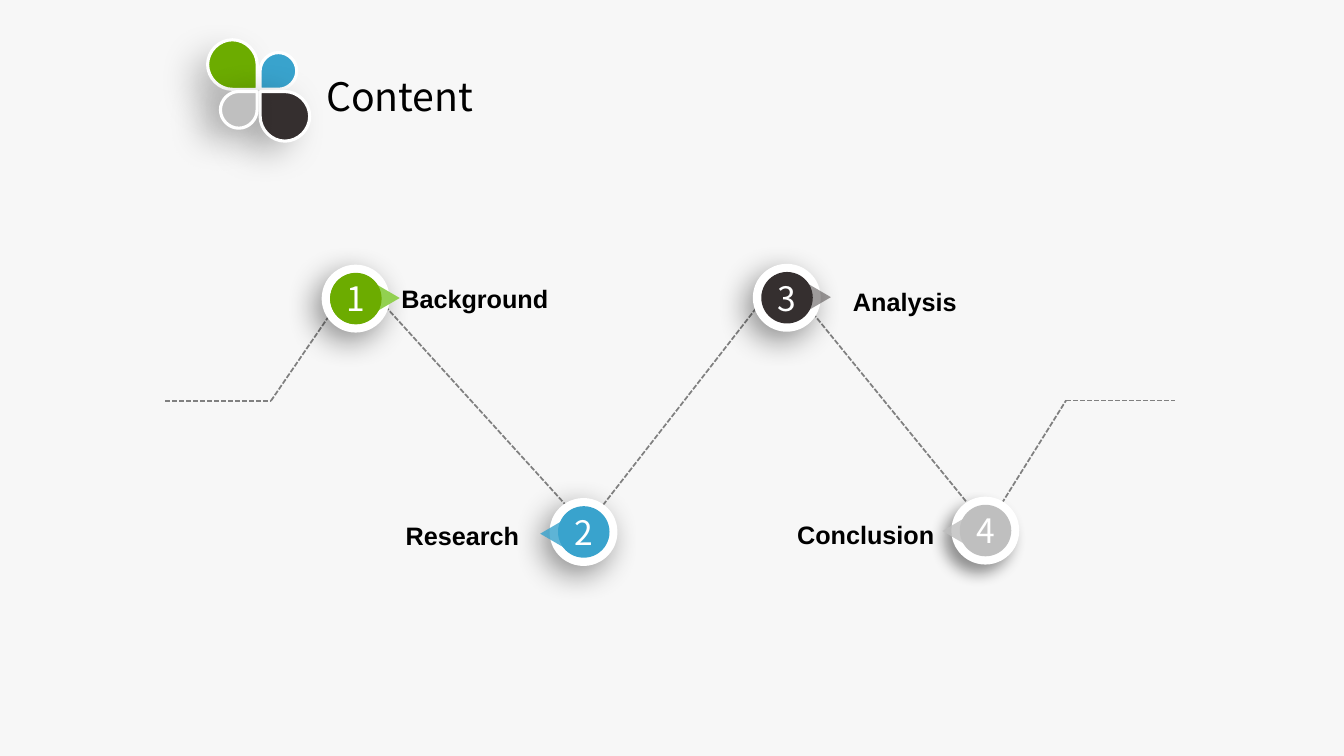
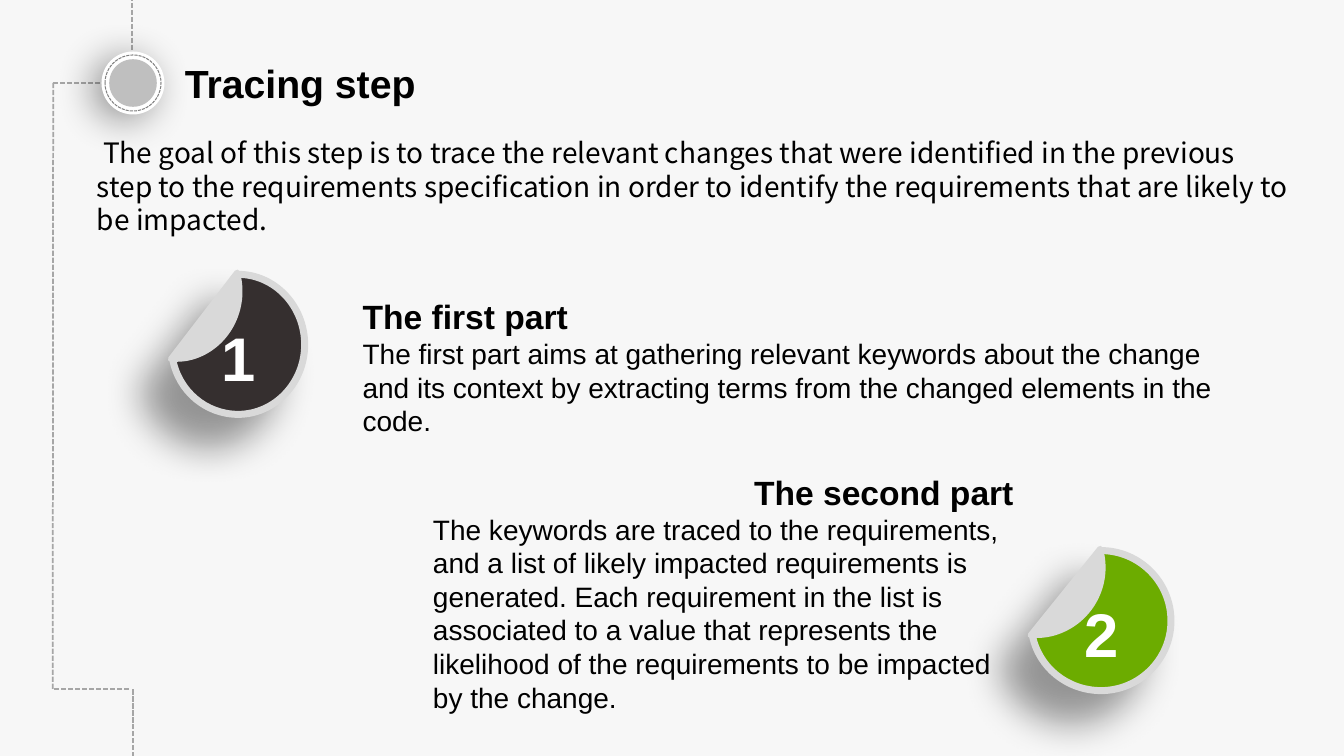
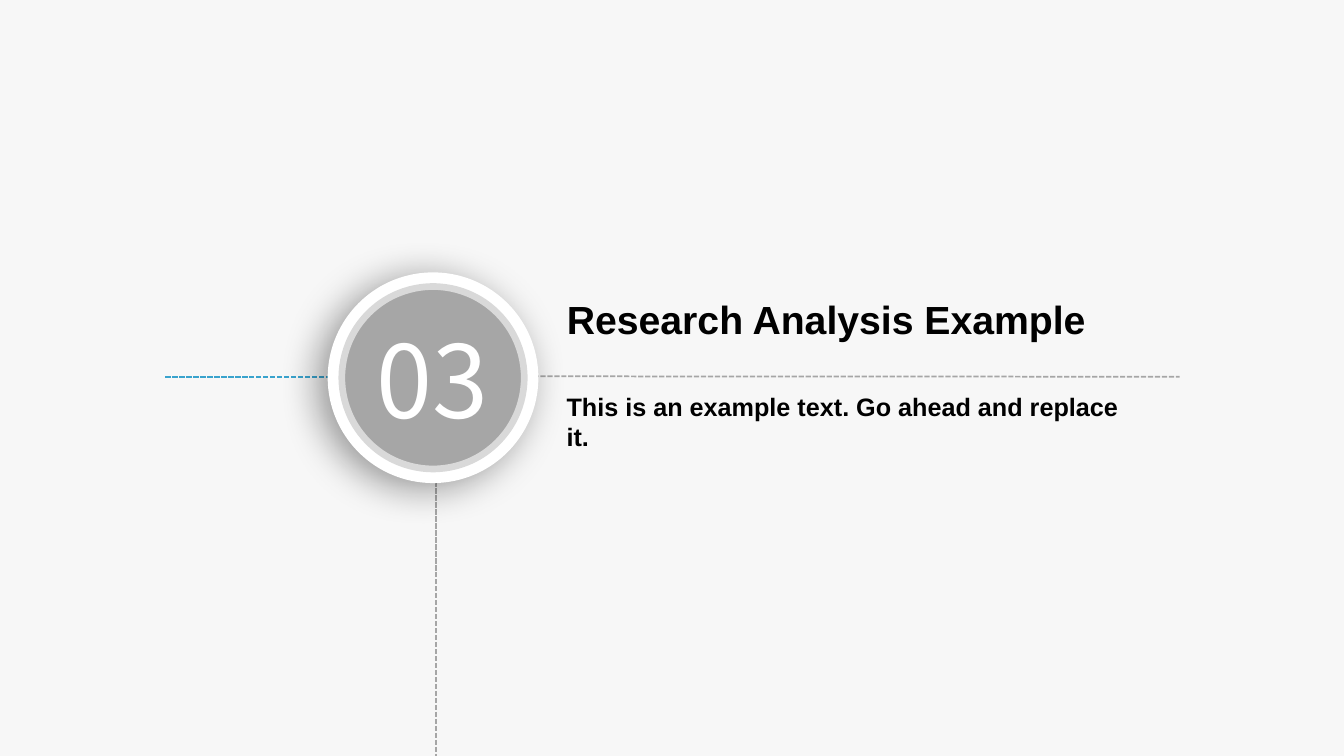
from dataclasses import dataclass
from typing import Any

from lxml import etree
from pptx import Presentation
from pptx.dml.color import RGBColor
from pptx.enum.dml import MSO_LINE
from pptx.enum.shapes import MSO_CONNECTOR, MSO_SHAPE
from pptx.enum.text import MSO_ANCHOR, MSO_AUTO_SIZE, PP_ALIGN
from pptx.oxml.ns import qn
from pptx.util import Pt

STRAIGHT = MSO_CONNECTOR.STRAIGHT
OVAL, TRIANGLE = MSO_SHAPE.OVAL, MSO_SHAPE.ISOSCELES_TRIANGLE
DASH = MSO_LINE.SQUARE_DOT
GROW = MSO_AUTO_SIZE.SHAPE_TO_FIT_TEXT
LEFT, CENTER, RIGHT = PP_ALIGN.LEFT, PP_ALIGN.CENTER, PP_ALIGN.RIGHT
TOP, MIDDLE, BOTTOM = MSO_ANCHOR.TOP, MSO_ANCHOR.MIDDLE, MSO_ANCHOR.BOTTOM

COLORS = {
    "paper": "F7F7F7", "white": "FFFFFF", "black": "000000",
    "green": "6CAC00", "lime": "92D050", "blue": "39A3CD", "dark": "352F2F",
    "silver": "BFBFBF", "pale": "D9D9D9", "gray": "A6A6A6", "mid": "808080",
}
SANS, CJK, CJK_JP = "Arial", "Noto Sans CJK SC", "Noto Sans CJK JP"
WIDTH, HEIGHT = 960, 540
Box = tuple[float, float, float, float]
Point = tuple[float, float]
Outline = list[tuple[Point, ...]]  # a start, then (control, control, end) curves or (end,) lines


@dataclass(frozen=True)
class Shadow:
    alpha: int
    blur: float
    distance: float
    angle: int


@dataclass(frozen=True)
class Line:
    text: str
    size: float
    bold: bool = True
    align: Any = LEFT
    font: str = SANS
    color: str = "black"


@dataclass(frozen=True)
class Petal:
    tip: Point
    width: float
    height: float
    color: str
    shadow: Shadow | None = None


@dataclass(frozen=True)
class Stop:
    number: str
    center: Point
    color: str
    pointer: str
    pointer_alpha: int
    pointer_center: Point
    label: str
    label_box: Box
    align: Any
    shadow_blur: float = 22
    rim: str = "white"


@dataclass(frozen=True)
class Sticker:
    number: str
    left: float
    top: float
    stretch: float
    color: str


BADGE_SHADOW = Shadow(40, 28, 8, 150)
STICKER_SHADOW = Shadow(40, 28, 30, 135)


# Shared drawing tools
def rgb(name: str) -> RGBColor:
    return RGBColor.from_string(COLORS[name])


def style(shape: Any, fill: str | None, line: str | None = None, width: float = 1,
          shadow: Shadow | None = None, alpha: int = 100) -> None:
    if fill:
        shape.fill.solid()
        shape.fill.fore_color.rgb = rgb(fill)
        if alpha < 100:
            color = shape._element.spPr.find(qn("a:solidFill"))[0]
            etree.SubElement(color, qn("a:alpha"), val=str(alpha * 1000))
    else:
        shape.fill.background()
    if line:
        shape.line.color.rgb = rgb(line)
        shape.line.width = Pt(width)
    else:
        shape.line.fill.background()
    shape.shadow.inherit = False
    if shadow:
        effects = shape._element.spPr.find(qn("a:effectLst"))
        outer = etree.SubElement(
            effects, qn("a:outerShdw"), blurRad=str(Pt(shadow.blur)),
            dist=str(Pt(shadow.distance)), dir=str(shadow.angle * 60000),
            algn="ctr", rotWithShape="0")
        color = etree.SubElement(outer, qn("a:srgbClr"), val=COLORS["black"])
        etree.SubElement(color, qn("a:alpha"), val=str(shadow.alpha * 1000))


def add_preset(slide: Any, kind: Any, box: Box, fill: str | None, **look: Any) -> Any:
    shape = slide.shapes.add_shape(kind, *map(Pt, box))
    style(shape, fill, **look)
    return shape


def add_circle(slide: Any, center: Point, size: float, fill: str | None, **look: Any) -> Any:
    x, y = center
    return add_preset(slide, OVAL, (x - size / 2, y - size / 2, size, size), fill, **look)


def add_outline(slide: Any, origin: Point, scale: Point, outline: Outline, fill: str,
                **look: Any) -> None:
    """A closed freeform whose line segments become cubic curves where controls are given."""
    steps = [[tuple(Pt(o + s * v) for o, s, v in zip(origin, scale, point)) for point in step]
             for step in outline]
    builder = slide.shapes.build_freeform(*steps[0][0])
    builder.add_line_segments([step[-1] for step in steps[1:]], close=True)
    shape = builder.convert_to_shape()
    segments = list(shape._element.spPr.iter(qn("a:lnTo")))
    for segment, step in zip(segments, steps[1:]):
        if len(step) == 3:
            curve = etree.Element(qn("a:cubicBezTo"))
            for x, y in step:
                etree.SubElement(curve, qn("a:pt"), x=str(x - shape.left), y=str(y - shape.top))
            segment.getparent().replace(segment, curve)
    style(shape, fill, **look)


def add_dashes(slide: Any, start: Point, end: Point, color: str = "gray") -> None:
    dashes = slide.shapes.add_connector(STRAIGHT, *map(Pt, (*start, *end)))
    dashes.line.color.rgb = rgb(color)
    dashes.line.width = Pt(1.25)
    dashes.line.dash_style = DASH
    etree.SubElement(dashes._element.spPr, qn("a:effectLst"))


def add_text(slide: Any, box: Box, *lines: Line, anchor: Any = MIDDLE,
             inset: float = 3.6) -> None:
    frame = slide.shapes.add_textbox(*map(Pt, box)).text_frame
    settings = {"word_wrap": True, "vertical_anchor": anchor, "auto_size": GROW}
    settings |= {f"margin_{side}": Pt(inset) for side in ("left", "top", "right", "bottom")}
    for name, value in settings.items():
        setattr(frame, name, value)
    for index, line in enumerate(lines):
        paragraph = frame.add_paragraph() if index else frame.paragraphs[0]
        paragraph.alignment = line.align
        run = paragraph.add_run()
        run.text = line.text
        for name, value in {"size": Pt(line.size), "bold": line.bold, "name": line.font}.items():
            setattr(run.font, name, value)
        run.font.color.rgb = rgb(line.color)
        for script in ("a:ea", "a:cs"):
            etree.SubElement(run.font._element, qn(script), typeface=line.font)


def new_slide(deck: Any) -> Any:
    slide = deck.slides.add_slide(deck.slide_layouts[6])
    slide.background.fill.solid()
    slide.background.fill.fore_color.rgb = rgb("paper")
    return slide


# Content slide
ROUTE = [(118, 286.4), (193.5, 286.4), (255, 196.5), (418.5, 376.5), (558.5, 196.5),
         (705, 376.5), (761.5, 286), (839, 286)]
# Unit petal: round, with its one square corner at (0, 0)
PETAL: Outline = [
    ((1, 0.5),),
    ((1, 0.23), (0.77, 0), (0.5, 0)),
    ((0, 0),),
    ((0, 0.5),),
    ((0, 0.77), (0.23, 1), (0.5, 1)),
    ((0.77, 1), (1, 0.77), (1, 0.5)),
]
PETALS = [
    Petal((183.7, 63.8), -35.4, -35.4, "green", Shadow(23, 26, 15, 130)),
    Petal((185.8, 63.8), 26.2, -26.2, "blue"),
    Petal((185.8, 65.4), 35.4, 35.4, "dark", Shadow(31, 26, 15, 160)),
    Petal((183.7, 65.4), -26.2, 26.2, "silver", Shadow(28, 26, 15, 150)),
]
STOPS = [
    Stop("1", (254, 213.3), "green", "lime", 100, (277.2, 212.9),
         "Background", (283.1, 199.5, 225.4, 27.4), LEFT, rim="green"),
    Stop("3", (562, 212.7), "dark", "dark", 48, (585.2, 212.3),
         "Analysis", (461.5, 201.2, 225.4, 28.8), RIGHT),
    Stop("2", (416.8, 380), "blue", "blue", 81, (394.2, 381.2),
         "Research ", (154, 368.9, 225.4, 27.4), RIGHT),
    Stop("4", (703.8, 379), "silver", "silver", 82, (681.5, 379.3),
         "Conclusion", (565.8, 367.7, 225.4, 27.4), LEFT, shadow_blur=11),
]


def draw_stop(slide: Any, stop: Stop) -> None:
    x, y = stop.center
    add_circle(slide, stop.center, 42.5, stop.rim, line="white", width=6,
               shadow=Shadow(41, stop.shadow_blur, 8, 130))
    px, py = stop.pointer_center
    pointer = add_preset(slide, TRIANGLE, (px - 9.7, py - 8.3, 19.4, 16.6), stop.pointer,
                         alpha=stop.pointer_alpha)
    pointer.rotation = 90 if px > x else 270
    add_circle(slide, (x + 0.2, y), 36.8, stop.color)
    add_text(slide, (x - 13, y - 19.2, 26, 38.2),
             Line(stop.number, 24, False, CENTER, CJK, "white"))
    add_text(slide, stop.label_box, Line(stop.label, 18, align=stop.align))


def build_content(deck: Any) -> None:
    slide = new_slide(deck)
    for start, end in zip(ROUTE, ROUTE[1:]):
        add_dashes(slide, start, end, "mid")
    for petal in PETALS:
        add_outline(slide, petal.tip, (petal.width, petal.height), PETAL, petal.color,
                    line="white", width=2.25, shadow=petal.shadow)
    add_text(slide, (203.4, 46.8, 164.2, 43.9), Line("Content", 28, False, CENTER, CJK))
    for stop in STOPS:
        draw_stop(slide, stop)


# Tracing slide
DISC: Outline = [
    ((46.8, 0),),
    ((72.7, 0), (94.3, 22.3), (94.3, 50.2)),
    ((94.3, 77.8), (72.7, 100), (46.8, 100)),
    ((23.8, 100), (4.3, 83.5), (0, 60.5)),
]
PEEL: Outline = [
    ((46.1, -1.4),),
    ((53.3, 24.5), (38.9, 51.8), (13.7, 59)),
    ((8.6, 60.5), (3.6, 60.5), (-1.4, 60.5)),
]
STICKERS = [Sticker("1", 123.3, 196, 1, "dark"), Sticker("2", 737.4, 393.3, 1.05, "green")]


def draw_sticker(slide: Any, sticker: Sticker) -> None:
    origin, scale = (sticker.left, sticker.top), (sticker.stretch, 1)
    add_outline(slide, origin, scale, DISC, sticker.color, line="pale", width=5,
                shadow=STICKER_SHADOW)
    add_text(slide, (sticker.left + 13.2 * sticker.stretch, sticker.top + 36.8,
                     67.7 * sticker.stretch, 48.2),
             Line(sticker.number, 44, align=CENTER, color="white"), anchor=BOTTOM, inset=0)
    add_outline(slide, origin, scale, PEEL, "pale", line="pale", width=4)


def build_tracing(deck: Any) -> None:
    slide = new_slide(deck)
    rail, stem, head, foot = 38, 94.7, 59.3, 492.4
    add_dashes(slide, (rail, head), (98, head))
    add_dashes(slide, (94.5, -3), (94.5, 57))
    badge = (stem + 0.3, head)
    add_circle(slide, badge, 45, "white", shadow=BADGE_SHADOW)
    add_circle(slide, badge, 34, "silver")
    ring = add_circle(slide, badge, 40, None, line="mid", width=0.75)
    ring.line.dash_style = DASH
    for start, end in (((rail, head), (37.7, foot)), ((38.7, foot), (93, foot)),
                       ((95, foot), (95, HEIGHT))):
        add_dashes(slide, start, end)
    add_text(slide, (128.5, 39.9, 388, 38.2), Line("Tracing step", 28))
    for sticker in STICKERS:
        draw_sticker(slide, sticker)
    add_text(slide, (255.4, 210.2, 614.9, 103.7), Line("The first part", 24),
             Line("The first part aims at gathering relevant keywords about the change and its "
                  "context by extracting terms from the changed elements in the code.", 20, False))
    add_text(slide, (305.7, 337, 421.9, 172.8), Line("The second part", 24, align=RIGHT),
             Line("The keywords are traced to the requirements, and a list of likely impacted "
                  "requirements is generated. Each requirement in the list is associated to a "
                  "value that represents the likelihood of the requirements to be impacted by "
                  "the change.", 20, False))
    add_text(slide, (65.6, 93.2, 862.6, 85),
             Line(" The goal of this step is to trace the relevant changes that were identified "
                  "in the previous step to the requirements specification in order to identify "
                  "the requirements that are likely to be impacted.", 20, False, font=CJK),
             anchor=TOP)


# Section slide
def build_section(deck: Any) -> None:
    slide = new_slide(deck)
    hub = (309.3, 269.8)
    add_dashes(slide, (311.3, 304), (311.3, HEIGHT))
    add_dashes(slide, (361, 268.8), (842.6, 269.1))
    add_dashes(slide, (118.2, 269.4), (260, 269.4), "blue")
    add_circle(slide, hub, 150.5, "white", shadow=BADGE_SHADOW)
    add_circle(slide, hub, 130.3, "gray", line="pale", width=4.75)
    add_text(slide, (262.8, 227.2, 92.2, 85.7),
             Line("03", 72, False, CENTER, CJK_JP, "white"), inset=0)
    add_text(slide, (401.3, 207.4, 388, 41), Line("Research Analysis Example", 28))
    add_text(slide, (401.1, 276.5, 416.2, 49),
             Line("This is an example text. Go ahead and replace it.", 18))


def main() -> None:
    deck = Presentation()
    deck.slide_width, deck.slide_height = Pt(WIDTH), Pt(HEIGHT)
    for build in (build_content, build_tracing, build_section):
        build(deck)
    deck.save("out.pptx")


if __name__ == "__main__":
    main()
